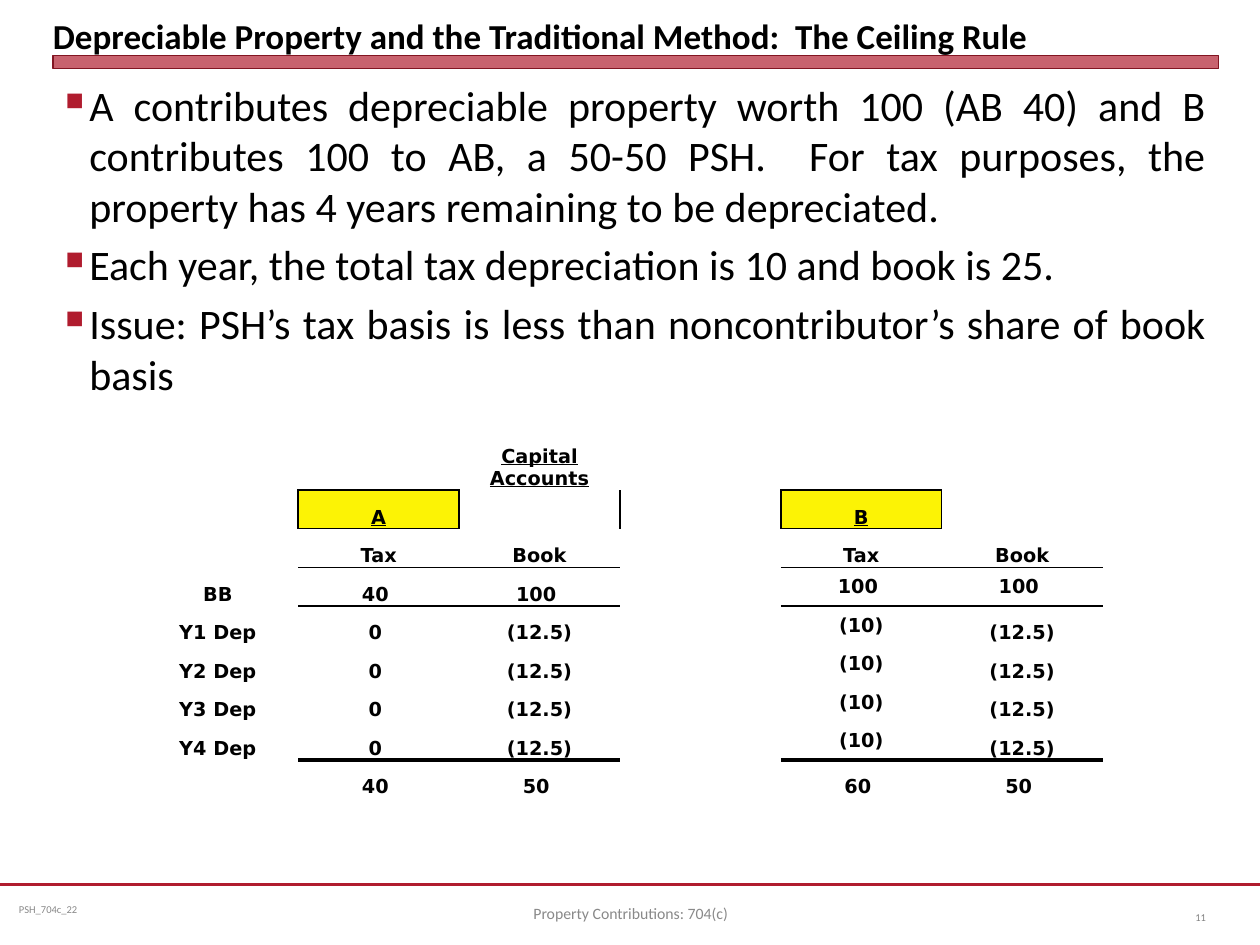
from collections import defaultdict

from lxml.etree import SubElement
from pptx import Presentation
from pptx.dml.color import RGBColor as RGB
from pptx.enum.shapes import MSO_CONNECTOR as Connector, MSO_SHAPE as Shape
from pptx.enum.text import MSO_ANCHOR as Anchor, PP_ALIGN as Align
from pptx.oxml.ns import qn
from pptx.util import Inches, Pt

THEME = {
    "red": "B01C2E", "dark red": "821522", "yellow": "FCF305", "black": "000000",
    "title": {"name": "Calibri", "size": Pt(20), "bold": True, "color": "000000"},
    "body": {"name": "Calibri", "size": Pt(24), "color": "000000"},
    "tag": {"name": "Calibri", "size": Pt(6), "color": "898989"},
    "footer": {"name": "Calibri", "size": Pt(9), "color": "898989"},
    "number": {"name": "Calibri", "size": Pt(6), "color": "808080"},
    "cell": {"name": "DejaVu Sans", "size": Pt(11), "bold": True, "color": "000000"},
    "heading": {"name": "DejaVu Sans", "size": Pt(11), "bold": True,
                "underline": True, "color": "000000"},
}

presentation = Presentation()
presentation.slide_width, presentation.slide_height = Inches(10), Inches(7.5)
slide = presentation.slides.add_slide(presentation.slide_layouts[6])
shapes = slide.shapes


def area(*percents):
    """Turn left, top, width, height in percent of the slide into lengths."""
    sides = (presentation.slide_width, presentation.slide_height) * 2
    return [round(side * percent / 100) for side, percent in zip(sides, percents)]


def style(font, look):
    for name, value in THEME[look].items():
        if name == "color":
            font.color.rgb = RGB.from_string(value)
        else:
            setattr(font, name, value)


# Footer rule and title bar
left, top, right, bottom = area(0, 93.6, 100, 93.6)
rule = shapes.add_connector(Connector.STRAIGHT, left, top, right, bottom)
rule.line.color.rgb = RGB.from_string(THEME["red"])
rule.line.width = Pt(1.25)
SubElement(rule._element.spPr, qn("a:effectLst"))

bar = shapes.add_shape(Shape.RECTANGLE, *area(4.2, 5.87, 92.5, 1.4))
bar.shadow.inherit = False
bar.fill.solid()
bar.fill.fore_color.rgb = RGB.from_string(THEME["red"])
color = bar._element.spPr.find(qn("a:solidFill")).find(qn("a:srgbClr"))
SubElement(color, qn("a:alpha"), val="69000")
bar.line.color.rgb = RGB.from_string(THEME["dark red"])
bar.line.width = 0

# Text boxes: look, area, alignment, anchor, side inset, top inset, paragraphs
texts = [
    ("tag", (0.8, 93.6, 25.8, 5.33), Align.LEFT, Anchor.MIDDLE, 0.07, 0.04,
     ["PSH_704c_22"]),
    ("body", (4.2, 7.73, 92.5, 84.8), Align.JUSTIFY, Anchor.TOP, 0.1, 0.05,
     ["A contributes depreciable property worth 100 (AB 40) and B contributes 100 "
      "to AB, a 50-50 PSH.  For tax purposes, the property has 4 years remaining "
      "to be depreciated.",
      "Each year, the total tax depreciation is 10 and book is 25.",
      "Issue: PSH’s tax basis is less than noncontributor’s share of book basis"]),
    ("title", (4.2, 0.67, 92.5, 5.33), Align.LEFT, Anchor.BOTTOM, 0, 0,
     ["Depreciable Property and the Traditional Method:  The Ceiling Rule"]),
    ("number", (91.7, 94.4, 5, 5.33), Align.RIGHT, Anchor.MIDDLE, 0.1, 0.05, ["11"]),
    ("footer", (34.2, 94, 31.7, 5.33), Align.CENTER, Anchor.MIDDLE, 0.1, 0.05,
     ["Property Contributions: 704(c)"]),
]
for look, box, alignment, anchor, side_inset, top_inset, lines in texts:
    frame = shapes.add_textbox(*area(*box)).text_frame
    layout = {"word_wrap": True, "vertical_anchor": anchor,
              "margin_left": Inches(side_inset), "margin_right": Inches(side_inset),
              "margin_top": Inches(top_inset), "margin_bottom": Inches(top_inset)}
    for name, value in layout.items():
        setattr(frame, name, value)
    for index, line in enumerate(lines):
        paragraph = frame.add_paragraph() if index else frame.paragraphs[0]
        paragraph.alignment = alignment
        if index:
            paragraph.space_before = Pt(4.8)
        if look == "body":
            properties = paragraph._p.get_or_add_pPr()
            properties.set("marL", str(Inches(0.19)))
            properties.set("indent", str(Inches(-0.19)))
            bullet_color = SubElement(properties, qn("a:buClr"))
            SubElement(bullet_color, qn("a:srgbClr"), val=THEME["red"])
            SubElement(properties, qn("a:buSzPct"), val="60000")
            SubElement(properties, qn("a:buChar"), char="■")
        run = paragraph.add_run()
        run.text = line
        style(run.font, look)

# Capital accounts table
rows = [
    ["", "", "Capital Accounts", "", "", ""],
    ["", "A", "", "", "B", ""],
    ["", "Tax", "Book", "", "Tax", "Book"],
    ["BB", "40 ", "100 ", "", "100 ", "100 "],
    *[[f"Y{year} Dep", "0 ", "(12.5)", "", "(10)", "(12.5)"] for year in range(1, 5)],
    ["", "40 ", "50 ", "", "60 ", "50 "],
]
partners, amounts = (1, 4), (1, 2, 4, 5)
middle_cells = {(3, 5)} | {(row, 4) for row in range(3, 8)}

# Rules below a row, then the sides of the partner boxes; each edge has two cells
borders = defaultdict(dict)
for row, columns, width in [(0, partners, 1), (1, partners, 1),
                            (2, amounts, 1), (7, amounts, 2)]:
    for column in columns:
        borders[row, column]["lnB"] = borders[row + 1, column]["lnT"] = width
for partner in partners:
    for column in (partner - 1, partner):
        borders[1, column]["lnR"] = borders[1, column + 1]["lnL"] = 1

table = shapes.add_table(len(rows), len(rows[0]), *area(10.9, 40.67, 76.6, 43.87)).table
table.first_row = table.horz_banding = False
NO_STYLE_NO_GRID = "{2D5ABB26-0587-4C30-8999-92F81FD0307C}"
table._tbl.tblPr.find(qn("a:tableStyleId")).text = NO_STYLE_NO_GRID
for column in table.columns:
    column.width = area(12.77)[0]
for index, row in enumerate(table.rows):
    row.height = area(0, 4.08 if index else 11.2)[1]

for row, values in enumerate(rows):
    for column, value in enumerate(values):
        cell = table.cell(row, column)
        middle = (row, column) in middle_cells
        layout = {"margin_left": Inches(0.01), "margin_right": Inches(0.01),
                  "margin_top": Inches(0.01), "margin_bottom": 0,
                  "vertical_anchor": Anchor.MIDDLE if middle else Anchor.BOTTOM}
        for name, setting in layout.items():
            setattr(cell, name, setting)
        paragraph = cell.text_frame.paragraphs[0]
        paragraph.alignment = Align.CENTER
        look = "heading" if row < 2 else "cell"
        if value:
            run = paragraph.add_run()
            run.text = value
            style(run.font, look)
        else:
            paragraph.font.size = THEME[look]["size"]
        properties = cell._tc.get_or_add_tcPr()
        for side in ("lnL", "lnR", "lnT", "lnB"):
            if side in borders[row, column]:
                width = Pt(borders[row, column][side])
                line = SubElement(properties, qn(f"a:{side}"), w=str(width))
                fill = SubElement(line, qn("a:solidFill"))
                SubElement(fill, qn("a:srgbClr"), val=THEME["black"])
        if row == 1 and column in partners:
            cell.fill.solid()
            cell.fill.fore_color.rgb = RGB.from_string(THEME["yellow"])
        else:
            cell.fill.background()

presentation.save("out.pptx")
